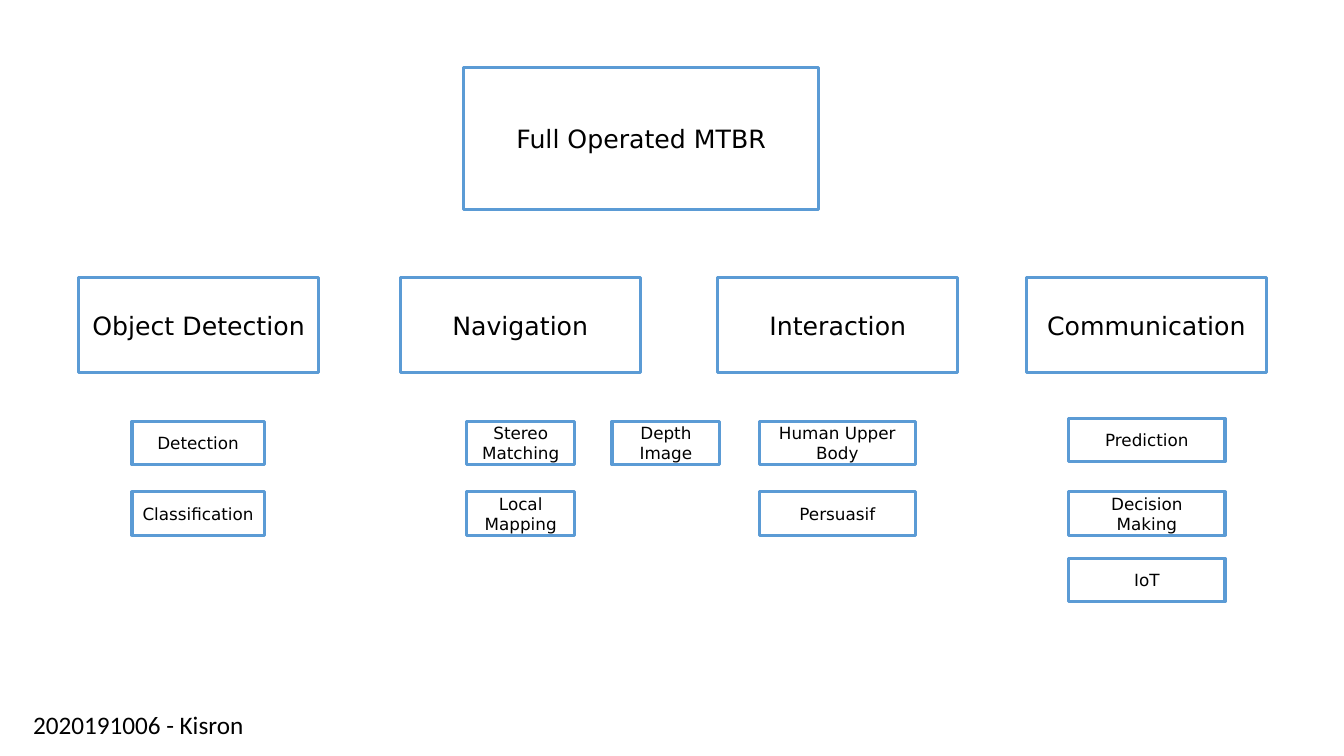
from pptx import Presentation
from pptx.dml.color import RGBColor
from pptx.enum.text import MSO_ANCHOR, MSO_AUTO_SIZE, PP_ALIGN
from pptx.enum.shapes import MSO_SHAPE
from pptx.util import Inches, Pt

BRANCH_TOP, BRANCH_W, BRANCH_H = 2.75, 2.38, 0.95
ITEM_H = 0.43
ROW_1, ROW_2, ROW_3 = 4.18, 4.88, 5.54

BRANCHES = [
    ("Object Detection", 0.78),
    ("Navigation", 3.97),
    ("Interaction", 7.12),
    ("Communication", 10.18),
]

ITEM_COLUMNS = [
    (1.31, 1.31, [("Detection", ROW_1), ("Classification", ROW_2)]),
    (4.63, 1.07, [("Stereo Matching", ROW_1), ("Local Mapping", ROW_2)]),
    (6.07, 1.07, [("Depth Image", ROW_1)]),
    (7.53, 1.55, [("Human Upper Body", ROW_1), ("Persuasif", ROW_2)]),
    (10.6, 1.55, [("Prediction", 4.15), ("Decision Making", ROW_2), ("IoT", ROW_3)]),
]


def color(value):
    """Return the colour for a hex string."""
    return RGBColor.from_string(value)


def set_attrs(target, values):
    """Set each attribute named in a dict of format values."""
    for name, value in values.items():
        setattr(target, name, value)


def write_text(tf, text, size, font, align):
    """Write one formatted paragraph into a text frame."""
    p = tf.paragraphs[0]
    p.alignment = align
    r = p.add_run()
    r.text = text
    set_attrs(r.font, {"size": Pt(size), "name": font})
    r.font.color.rgb = color("000000")


def add_box(s, text, left, top, width, height, size):
    """Add an outlined rectangle with centred text."""
    sp = s.shapes.add_shape(MSO_SHAPE.RECTANGLE, Inches(left), Inches(top),
                            Inches(width), Inches(height))
    sp.shadow.inherit = False
    sp.fill.solid()
    sp.fill.fore_color.rgb = color("FFFFFF")
    sp.line.color.rgb = color("5B9BD5")
    sp.line.width = Pt(2.25)
    set_attrs(sp.text_frame, {"word_wrap": True, "vertical_anchor": MSO_ANCHOR.MIDDLE})
    write_text(sp.text_frame, text, size, "DejaVu Sans", PP_ALIGN.CENTER)


def add_label(s, text, left, top, width, height):
    """Add a plain left-aligned text box."""
    sp = s.shapes.add_textbox(Inches(left), Inches(top), Inches(width), Inches(height))
    set_attrs(sp.text_frame, {"word_wrap": True,
                              "auto_size": MSO_AUTO_SIZE.SHAPE_TO_FIT_TEXT})
    write_text(sp.text_frame, text, 18, "Calibri", PP_ALIGN.LEFT)


def main():
    """Build the system breakdown slide and save it."""
    prs = Presentation()
    set_attrs(prs, {"slide_width": Inches(13.33), "slide_height": Inches(7.5)})
    s = prs.slides.add_slide(prs.slide_layouts[6])
    add_box(s, "Full Operated MTBR", 4.6, 0.67, 3.52, 1.41, 18)
    for text, left in BRANCHES:
        add_box(s, text, left, BRANCH_TOP, BRANCH_W, BRANCH_H, 18)
    for left, width, items in ITEM_COLUMNS:
        for text, top in items:
            add_box(s, text, left, top, width, ITEM_H, 12)
    add_label(s, "2020191006 - Kisron", 0.23, 6.99, 3.7, 0.4)
    prs.save("out.pptx")


if __name__ == "__main__":
    main()
